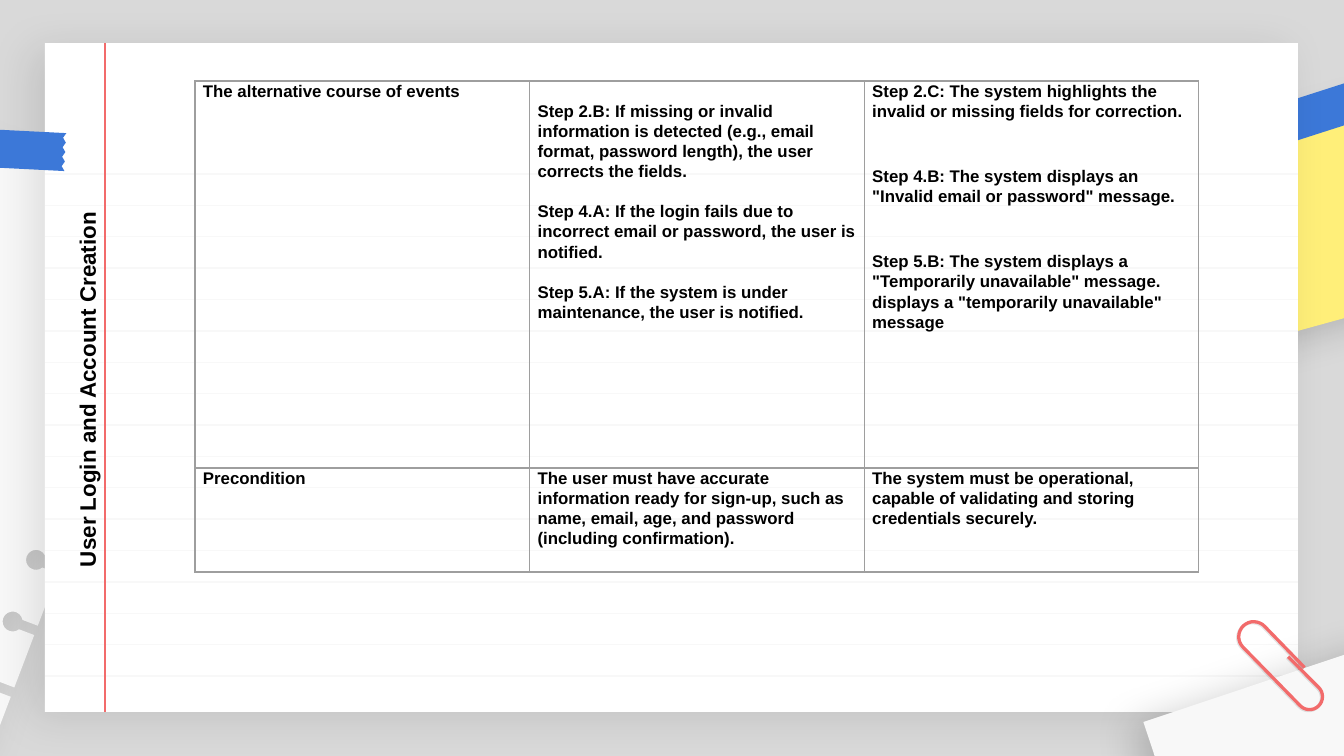
from math import cos, radians, sin

from lxml.etree import SubElement
from pptx import Presentation
from pptx.dml.color import RGBColor
from pptx.enum.shapes import MSO_CONNECTOR, MSO_SHAPE
from pptx.enum.text import MSO_ANCHOR
from pptx.oxml import parse_xml
from pptx.oxml.ns import nsdecls, qn
from pptx.util import Emu, Pt

SCALE = 9144000 / 1344  # EMU per px on a slide 1344 px wide

GREY = RGBColor(0xD9, 0xD9, 0xD9)
BORDER = RGBColor(0x9E, 0x9E, 0x9E)
OFF_WHITE = RGBColor(0xF8, 0xF8, 0xF8)
WHITE = RGBColor(0xFF, 0xFF, 0xFF)
YELLOW = RGBColor(0xFF, 0xEF, 0x79)
BLUE = RGBColor(0x3C, 0x78, 0xD8)
RED = RGBColor(0xF2, 0x6B, 0x6B)
BLACK = RGBColor(0, 0, 0)

FONT = "Arial"

# Each cell: space above the text in px, gap between paragraphs in px, paragraphs
ROWS = [
    [
        (0, 0, ["The alternative course of events"]),
        (20, 20, [
            "Step 2.B: If missing or invalid information is detected (e.g., email format, "
            "password length), the user corrects the fields.",
            "Step 4.A: If the login fails due to incorrect email or password, "
            "the user is notified.",
            "Step 5.A: If the system is under maintenance, the user is notified.",
        ]),
        (0, 45, [
            "Step 2.C: The system highlights the invalid or missing fields for correction.",
            'Step 4.B: The system displays an "Invalid email or password" message.',
            'Step 5.B: The system displays a "Temporarily unavailable" message. '
            'displays a "temporarily unavailable" message',
        ]),
    ],
    [
        (0, 0, ["Precondition"]),
        (0, 0, ["The user must have accurate information ready for sign-up, such as name, "
                "email, age, and password (including confirmation)."]),
        (0, 0, ["The system must be operational, capable of validating and storing "
                "credentials securely."]),
    ],
]


def px(n):
    return Emu(round(n * SCALE))


def arc(cx, cy, r, start, end, steps=16):
    angles = [radians(start + (end - start) * i / steps) for i in range(steps + 1)]
    return [(cx + r * cos(a), cy + r * sin(a)) for a in angles]


def add_shadow(s, alpha):
    effects = s._element.spPr.find(qn("a:effectLst"))
    effects.append(parse_xml(
        f'<a:outerShdw {nsdecls("a")} blurRad="{Pt(22.5)}" dist="{Pt(7.5)}" '
        f'dir="{150 * 60000}" algn="bl" rotWithShape="0"><a:srgbClr val="000000">'
        f'<a:alpha val="{alpha * 1000}"/></a:srgbClr></a:outerShdw>'))


def paint(s, color, shadow=0):
    s.fill.solid()
    s.fill.fore_color.rgb = color
    s.line.fill.background()
    s.shadow.inherit = False
    if shadow:
        add_shadow(s, shadow)


def add_outline(shapes, points, rotation, close=True):
    points = [(px(x), px(y)) for x, y in points]
    builder = shapes.build_freeform(*points[0])
    builder.add_line_segments(points[1:], close=close)
    s = builder.convert_to_shape()
    s.rotation = rotation
    return s


def add_note(shapes, cx, cy, side, rotation, color):
    """Square sheet; side is 1 or -1 and mirrors its tilt."""
    corners = [(75, -142), (155, 41), (-75, 142), (-155, -41)]
    s = add_outline(shapes, [(cx + side * x, cy + y) for x, y in corners], rotation)
    paint(s, color, shadow=20)


def add_tape(shapes, cx, cy, length, width, rotation):
    """Strip of tape with ragged ends."""
    steps = 8
    right = [(length / 2 - 3 * (i % 2), width * (i / steps - 0.5))
             for i in range(steps + 1)]
    left = [(x - length, y) for x, y in reversed(right)]
    c, n = cos(radians(21.3)), sin(radians(21.3))
    points = [(cx + x * c - y * n, cy + x * n + y * c) for x, y in right + left]
    paint(add_outline(shapes, points, rotation), BLUE)


def add_binder_sheet(shapes):
    """Sheet with a column of ring holes open to its right edge."""
    left, top, right, bottom = -441, 103, 89, 782
    points = [(left, bottom)] + arc(left + 20, top + 20, 20, 180, 270) + [(right, top)]
    for i in range(10):
        y = 147 + 66 * i
        points += [(right, y - 5), *arc(64, y, 10, -30, -330), (right, y + 5)]
    points += [(right, bottom)]
    paint(add_outline(shapes, points, 20.8), OFF_WHITE, shadow=10)


def add_clip(shapes, dx, dy, color, alpha=100):
    """Paper clip drawn as one bent wire."""
    wire = [(1304, 660), *arc(1246, 647, 15, -62, -242),
            *arc(1318, 686, 13, 118, -62), (1285, 655)]
    s = add_outline(shapes, [(x + dx, y + dy) for x, y in wire], 18.6, close=False)
    s.fill.background()
    s.line.color.rgb = color
    s.line.width = Pt(1.75)
    s.shadow.inherit = False
    if alpha < 100:
        rgb = s.line._ln.find(".//" + qn("a:srgbClr"))
        SubElement(rgb, qn("a:alpha")).set("val", str(alpha * 1000))


def add_rule(shapes, x1, y1, x2, y2, color):
    s = shapes.add_connector(MSO_CONNECTOR.STRAIGHT, px(x1), px(y1), px(x2), px(y2))
    s.line.color.rgb = color
    s.line.width = Pt(0.75)
    SubElement(s._element.spPr, qn("a:effectLst"))


def add_page(shapes):
    left, top, right, bottom = 45, 43, 1298, 712
    s = shapes.add_shape(MSO_SHAPE.RECTANGLE, px(left), px(top),
                         px(right - left), px(bottom - top))
    paint(s, WHITE, shadow=10)
    for i in range(17):
        y = 174 + i * 502 / 16
        add_rule(shapes, left, y, right, y, OFF_WHITE)
    add_rule(shapes, 105, bottom, 105, top, RED)


def write_run(p, text, size):
    r = p.add_run()
    r.text = text
    r.font.name = FONT
    r.font.size = Pt(size)
    r.font.bold = True
    r.font.color.rgb = BLACK


def add_title(shapes, text):
    s = shapes.add_textbox(px(-110), px(370), px(394), px(40))
    s.rotation = 270
    tf = s.text_frame
    tf.word_wrap = False
    tf.vertical_anchor = MSO_ANCHOR.MIDDLE
    tf.margin_left = px(20)
    write_run(tf.paragraphs[0], text, 12)


def add_borders(cell):
    tc_pr = cell._tc.get_or_add_tcPr()
    for i, side in enumerate("LRTB"):
        tc_pr.insert(i, parse_xml(
            f'<a:ln{side} {nsdecls("a")} w="{Pt(0.75)}"><a:solidFill>'
            f'<a:srgbClr val="{BORDER}"/></a:solidFill></a:ln{side}>'))


def fill_cell(cell, above, gap, texts):
    cell.fill.background()
    add_borders(cell)
    cell.margin_left = cell.margin_right = px(8)
    cell.margin_top, cell.margin_bottom = px(above), 0
    tf = cell.text_frame
    for i, text in enumerate(texts):
        p = tf.add_paragraph() if i else tf.paragraphs[0]
        p.line_spacing = 1.07
        if i:
            p.space_before = px(gap)
        write_run(p, text, 9)


def add_events_table(shapes):
    table = shapes.add_table(2, 3, px(195), px(81), px(1004), px(491)).table
    table.first_row = table.horz_banding = False
    for column in table.columns:
        column.width = px(1004 / 3)
    for row, height, cells in zip(table.rows, (387, 104), ROWS):
        row.height = px(height)
        for cell, content in zip(row.cells, cells):
            fill_cell(cell, *content)


def main():
    prs = Presentation()
    prs.slide_width, prs.slide_height = px(1344), px(756)
    slide = prs.slides.add_slide(prs.slide_layouts[6])
    slide.background.fill.solid()
    slide.background.fill.fore_color.rgb = GREY
    shapes = slide.shapes

    # Desk items behind the page
    add_note(shapes, 1368, 208, -1, 320.9, YELLOW)
    add_tape(shapes, 1334, 108, 138, 40, 320.9)
    add_binder_sheet(shapes)

    # Ruled page, then the items on top of it
    add_page(shapes)
    add_note(shapes, 1294, 777, 1, 5.2, OFF_WHITE)
    add_clip(shapes, -1, 1, BLACK, alpha=10)
    add_clip(shapes, 0, 0, RED)
    add_tape(shapes, 0, 149, 131, 38, 341.6)

    # Content
    add_title(shapes, "User Login and Account Creation")
    add_events_table(shapes)
    prs.save("out.pptx")


if __name__ == "__main__":
    main()
